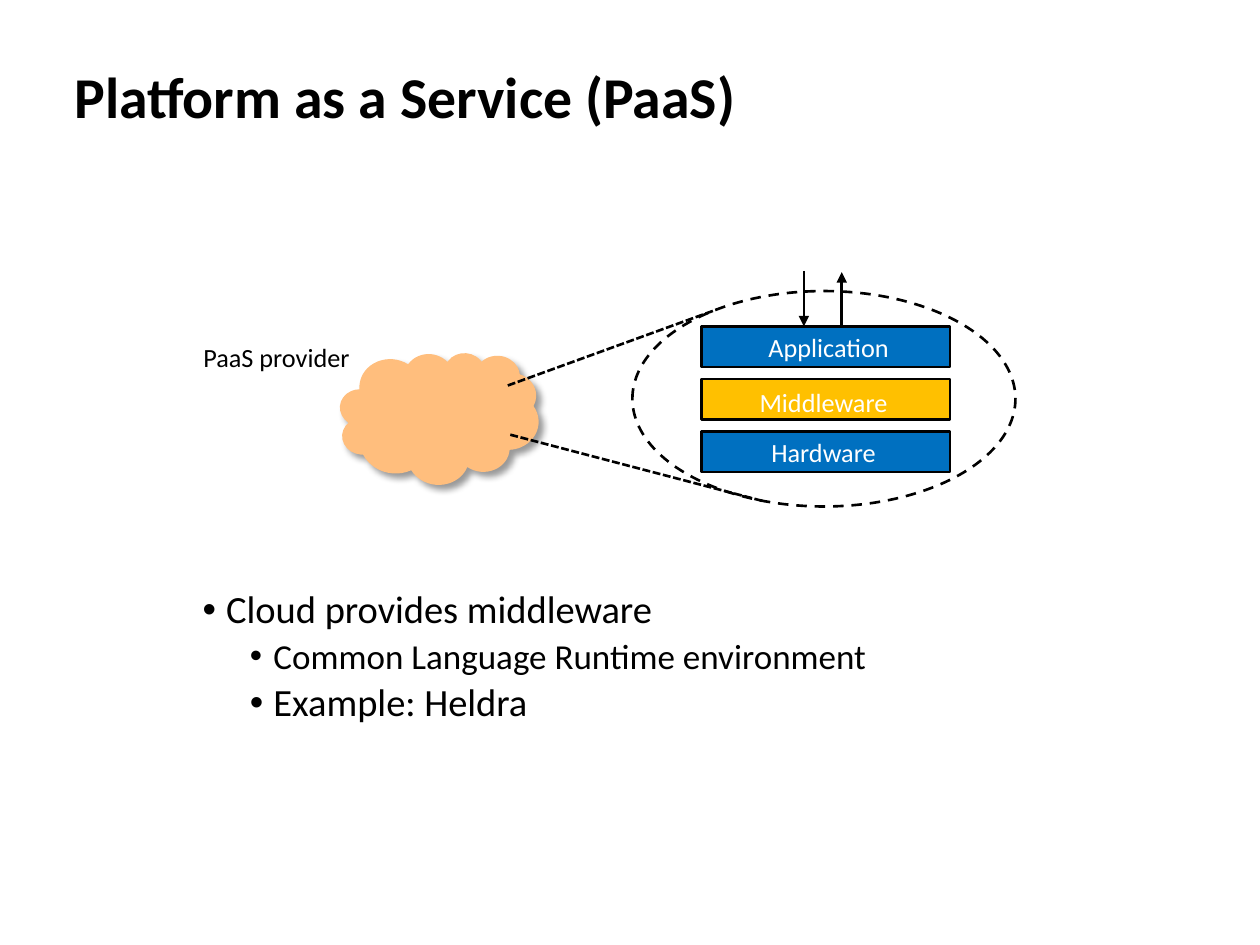
from lxml import etree
from pptx import Presentation
from pptx.dml.color import RGBColor
from pptx.enum.dml import MSO_LINE
from pptx.enum.shapes import MSO_CONNECTOR, MSO_SHAPE
from pptx.enum.text import MSO_ANCHOR, PP_ALIGN
from pptx.oxml import parse_xml
from pptx.oxml.ns import nsdecls, qn
from pptx.util import Pt

RECTANGLE, OVAL, CLOUD = MSO_SHAPE.RECTANGLE, MSO_SHAPE.OVAL, MSO_SHAPE.CLOUD
STRAIGHT = MSO_CONNECTOR.STRAIGHT
DASH, SQUARE_DASH, SOLID = MSO_LINE.DASH, MSO_LINE.SQUARE_DOT, MSO_LINE.SOLID
MIDDLE, TOP = MSO_ANCHOR.MIDDLE, MSO_ANCHOR.TOP
LEFT, CENTER = PP_ALIGN.LEFT, PP_ALIGN.CENTER
BLACK, WHITE, BLUE, AMBER, PEACH = "000000", "FFFFFF", "0070C0", "FFC000", "FFBE7D"


def paint(color_format, value):
    color_format.rgb = RGBColor.from_string(value)


def style_text(paragraph, size, color, align=LEFT, bold=False):
    paragraph.alignment = align
    for run in paragraph.runs:
        run.font.name = "Calibri"
        run.font.size = Pt(size)
        run.font.bold = bold
        paint(run.font.color, color)


prs = Presentation()
prs.slide_width, prs.slide_height = Pt(720), Pt(540)
slide = prs.slides.add_slide(prs.slide_layouts[5])
shapes = slide.shapes

title = shapes.title
title.left, title.top, title.width, title.height = Pt(35.3), Pt(32.4), Pt(466), Pt(49)
title.text_frame.text = "Platform as a Service (PaaS)"
title.text_frame.vertical_anchor = MIDDLE
heading = title.text_frame.paragraphs[0]
heading.line_spacing = 0.9
style_text(heading, 33, BLACK, bold=True)

points = shapes.add_textbox(Pt(108.7), Pt(334), Pt(585.4), Pt(157.7)).text_frame
points.word_wrap = True
for index, (wording, level, size) in enumerate([
    ("Cloud provides middleware", 0, 22),
    ("Common Language Runtime environment", 1, 20),
    ("Example: Heldra", 1, 22),
]):
    point = points.add_paragraph() if index else points.paragraphs[0]
    point.text = wording
    point.level = level
    point.line_spacing = 0.9
    point.space_before = Pt(3.8 if index else 0)
    properties = point._p.get_or_add_pPr()
    properties.set("marL", str(Pt(13.5 + 27 * level)))
    properties.set("indent", str(Pt(-13.5)))
    etree.SubElement(properties, qn("a:buFont")).set("typeface", "Arial")
    etree.SubElement(properties, qn("a:buChar")).set("char", "•")
    style_text(point, size, BLACK)

cloud = shapes.add_shape(CLOUD, Pt(194), Pt(200.5), Pt(113.8), Pt(76.3))
cloud.rotation = 4.5
cloud.fill.solid()
paint(cloud.fill.fore_color, PEACH)
cloud.line.fill.background()
cloud._element.spPr.append(parse_xml(
    f'<a:effectLst {nsdecls("a")}><a:outerShdw blurRad="{Pt(4)}" dist="{Pt(4)}" '
    f'dir="2700000" algn="ctr" rotWithShape="0"><a:srgbClr val="{BLACK}">'
    '<a:alpha val="40000"/></a:srgbClr></a:outerShdw></a:effectLst>'))

labels = []
for row, (layer, color, label_left, label_top) in enumerate([
    ("Application", BLUE, 402.5, 186.5),
    ("Middleware", AMBER, 399.6, 217.7),
    ("Hardware", BLUE, 399.6, 246.2),
]):
    bar = shapes.add_shape(RECTANGLE, Pt(401), Pt(186.5 + 30 * row), Pt(142), Pt(23.2))
    bar.shadow.inherit = False
    bar.fill.solid()
    paint(bar.fill.fore_color, color)
    paint(bar.line.color, BLACK)
    bar.line.width = Pt(1.5)
    labels.append((layer, label_left, label_top, 142, 23.8, WHITE, MIDDLE))
labels.append(("PaaS provider", 110.9, 191.5, 94.3, 25.2, BLACK, TOP))

for wording, left, top, width, height, color, anchor in labels:
    label = shapes.add_textbox(Pt(left), Pt(top), Pt(width), Pt(height)).text_frame
    label.word_wrap = True
    label.vertical_anchor = anchor
    label.margin_left = label.margin_right = Pt(2.9)
    label.margin_top = label.margin_bottom = Pt(2.9 if anchor == MIDDLE else 3.6)
    label.text = wording
    style_text(label.paragraphs[0], 15, color, CENTER)

stack_outline = shapes.add_shape(OVAL, Pt(361.4), Pt(166.3), Pt(218.9), Pt(123.1))
stack_outline.shadow.inherit = False
stack_outline.fill.background()
paint(stack_outline.line.color, BLACK)
stack_outline.line.width = Pt(1.5)
stack_outline.line.dash_style = DASH

for x1, y1, x2, y2, dash, arrow_end in [
    (290.2, 220.3, 409, 177.1, SQUARE_DASH, None),
    (291.6, 248.4, 437, 286.6, SQUARE_DASH, None),
    (459.4, 154.8, 459.4, 186.5, SOLID, "a:tailEnd"),
    (481, 155.5, 481, 186.5, SOLID, "a:headEnd"),
]:
    link = shapes.add_connector(STRAIGHT, Pt(x1), Pt(y1), Pt(x2), Pt(y2))
    paint(link.line.color, BLACK)
    link.line.width = Pt(1.5)
    link.line.dash_style = dash
    if arrow_end:
        etree.SubElement(link.line._get_or_add_ln(), qn(arrow_end)).set("type", "triangle")
    etree.SubElement(link._element.spPr, qn("a:effectLst"))

prs.save("out.pptx")
